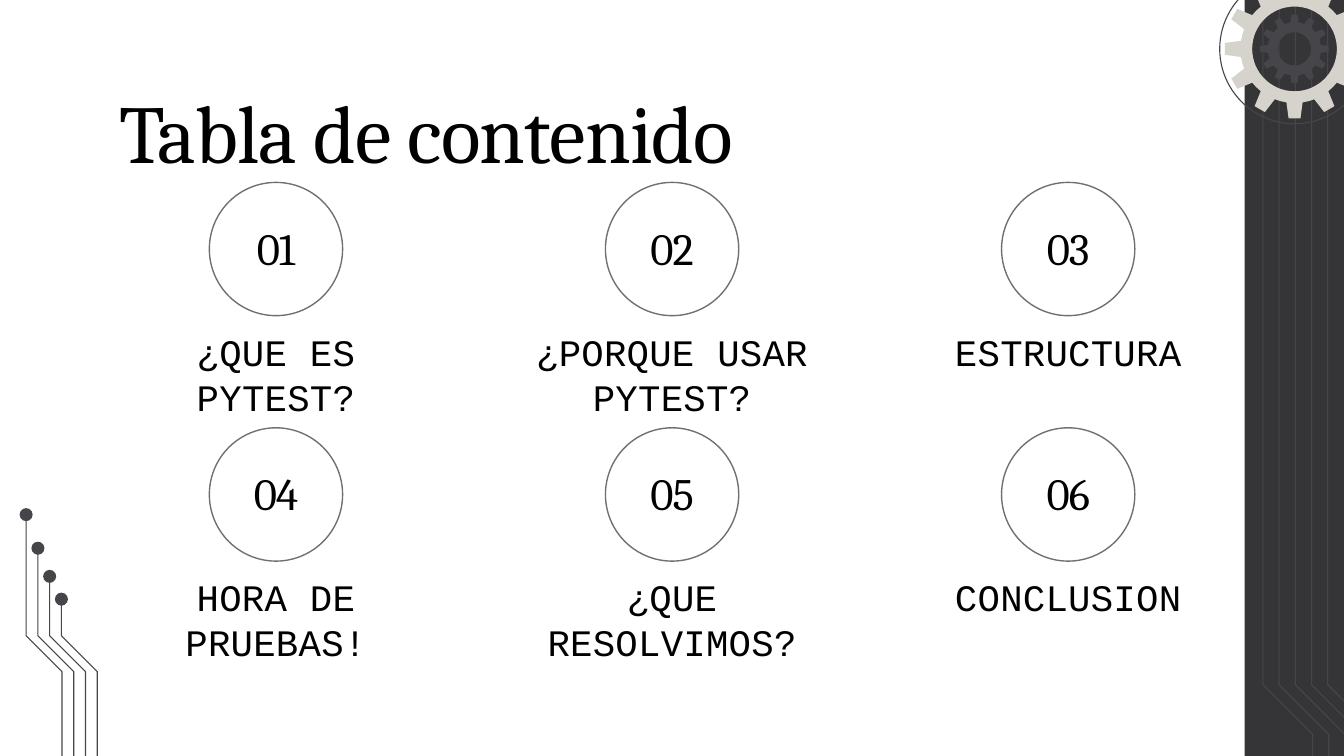
import math
from dataclasses import dataclass

import pptx
import pptx.dml.color
import pptx.enum.shapes
import pptx.enum.text
import pptx.util

Pt = pptx.util.Pt
OVAL = pptx.enum.shapes.MSO_SHAPE.OVAL
RECTANGLE = pptx.enum.shapes.MSO_SHAPE.RECTANGLE
ALIGN = pptx.enum.text.PP_ALIGN
ANCHOR = pptx.enum.text.MSO_ANCHOR


@dataclass(frozen=True)
class TextStyle:
    font: str
    size: float
    spacing: float  # between characters, in points
    leading: float


@dataclass(frozen=True)
class Theme:
    panel: str = "353537"
    circuit: str = "46464A"
    gear: str = "D6D3CC"
    circle: str = "6F6F74"
    text: str = "000000"
    hairline: float = 0.6
    circle_line: float = 0.75
    inset: float = 7.2
    title: TextStyle = TextStyle("Cambria", 44, -0.5, 0.9)
    number: TextStyle = TextStyle("Cambria", 24, -0.5, 0.9)
    topic: TextStyle = TextStyle("Courier New", 20, 0.1, 1.0)


THEME = Theme()
SLIDE_W, SLIDE_H = 720, 405
TOPICS = [
    "¿QUE ES PYTEST?", "¿PORQUE USAR PYTEST?", "ESTRUCTURA",
    "HORA DE PRUEBAS!", "¿QUE RESOLVIMOS?", "CONCLUSION",
]


def paint(shape, fill=None, line=None, width=0.0):
    shape.shadow.inherit = False
    if fill:
        shape.fill.solid()
        shape.fill.fore_color.rgb = pptx.dml.color.RGBColor.from_string(fill)
    else:
        shape.fill.background()
    if line:
        shape.line.color.rgb = pptx.dml.color.RGBColor.from_string(line)
        shape.line.width = Pt(width)
    else:
        shape.line.fill.background()


def add_preset(slide, preset, box, **colours):
    shape = slide.shapes.add_shape(preset, *map(Pt, box))
    paint(shape, **colours)


def add_disc(slide, center, radius, **colours):
    x, y = center
    add_preset(slide, OVAL, (x - radius, y - radius, 2 * radius, 2 * radius), **colours)


def add_outline(slide, contours, closed, **colours):
    contours = [[(Pt(x), Pt(y)) for x, y in contour] for contour in contours]
    builder = slide.shapes.build_freeform(*contours[0][0])
    for index, contour in enumerate(contours):
        if index:
            builder.move_to(*contour[0])
        builder.add_line_segments(contour[1:], close=closed)
    paint(builder.convert_to_shape(), **colours)


def add_text(slide, box, text, style, align=ALIGN.LEFT, anchor=ANCHOR.TOP):
    frame = slide.shapes.add_textbox(*map(Pt, box)).text_frame
    frame.word_wrap = True
    frame.vertical_anchor = anchor
    frame.margin_left = frame.margin_right = Pt(THEME.inset)
    frame.margin_top = frame.margin_bottom = Pt(THEME.inset)
    frame.text = text
    paragraph = frame.paragraphs[0]
    paragraph.alignment = align
    paragraph.line_spacing = style.leading
    run = paragraph.runs[0]
    run.font.name = style.font
    run.font.size = Pt(style.size)
    run.font.color.rgb = pptx.dml.color.RGBColor.from_string(THEME.text)
    run._r.get_or_add_rPr().set("spc", str(round(style.spacing * 100)))


def add_trace(slide, x, top, elbow, jog, bottom, right=SLIDE_W):
    """A circuit line: down, diagonally right by jog, down again."""
    reach = min(jog, right - x)
    points = [(x, top), (x, elbow), (x + reach, elbow + reach)]
    if reach == jog:
        points.append((x + jog, bottom))
    add_outline(slide, [points], False, line=THEME.circuit, width=THEME.hairline)


def add_side_panel(slide, box):
    left, top, width, height = box
    add_preset(slide, RECTANGLE, box, fill=THEME.panel)
    for index in range(5):
        add_trace(slide, left + 9.8 + 8.67 * index, top, top + 366.8, 26.6, top + height)


def add_corner_circuit(slide, box):
    left, top, width, height = box
    starts = [(left + 3.5 + 6.3 * index, top + drop)
              for index, drop in enumerate((3.5, 21.5, 36.6, 48.8))]
    for x, y in starts:
        add_trace(slide, x, y, top + 68.4, 19.2, top + height)
    for start in starts:
        add_disc(slide, start, 3.5, fill=THEME.circuit)


def add_gear(slide, center, radius, hole, fill):
    def polar(distance, angle):
        return (center[0] + distance * math.cos(angle),
                center[1] + distance * math.sin(angle))

    teeth, root = 12, 0.775 * radius
    step = 2 * math.pi / teeth
    rim = []
    for tooth in range(teeth):
        middle = tooth * step
        # Base and tip corners of the tooth, then the middle of the valley
        for distance, offset in ((root, -0.15), (radius, -0.085), (radius, 0.085),
                                 (root, 0.15), (root, step / 2)):
            rim.append(polar(distance, middle + offset))
    bore = [polar(hole, 2 * math.pi * n / 60) for n in range(60)]
    add_outline(slide, [rim, bore], True, fill=fill)


def add_gears(slide, box):
    left, top, width, height = box
    center = (left + width / 2, top + height / 2)
    add_gear(slide, center, 18.4, 8.9, THEME.circuit)
    add_gear(slide, center, 37.4, 22.7, THEME.gear)
    add_disc(slide, center, width / 2, line=THEME.circuit, width=THEME.hairline)


def add_topic(slide, box, number, topic):
    left, top, width, height = box
    diameter = 71.4
    circle_left = left + (width - diameter) / 2
    add_preset(slide, OVAL, (circle_left, top, diameter, diameter),
               line=THEME.circle, width=THEME.circle_line)
    add_text(slide, (circle_left, top + 15.1, diameter, 41.8), f"{number:02d}",
             THEME.number, ALIGN.CENTER, ANCHOR.BOTTOM)
    add_text(slide, (left, top + diameter, width, height - diameter), topic,
             THEME.topic, ALIGN.CENTER)


def add_topic_grid(slide, box, topics, columns=3, cell_width=182.9):
    left, top, width, height = box
    rows = math.ceil(len(topics) / columns)
    column_step = (width - cell_width) / (columns - 1)
    row_step = height / rows
    for index, topic in enumerate(topics):
        row, column = divmod(index, columns)
        cell = (left + column * column_step, top + row * row_step, cell_width, row_step)
        add_topic(slide, cell, index + 1, topic)


def main():
    presentation = pptx.Presentation()
    presentation.slide_width, presentation.slide_height = Pt(SLIDE_W), Pt(SLIDE_H)
    slide = presentation.slides.add_slide(presentation.slide_layouts[6])

    # Decoration
    add_side_panel(slide, (666.8, 0, SLIDE_W - 666.8, SLIDE_H))
    add_corner_circuit(slide, (10.5, 272.2, 42, SLIDE_H - 272.2))
    add_gears(slide, (653.4, -13.9, 80.2, 80.2))

    # Contents
    add_text(slide, (56.9, 42.5, 607, 45.4), "Tabla de contenido", THEME.title)
    add_topic_grid(slide, (56.4, 97.7, 607.3, 263), TOPICS)

    presentation.save("out.pptx")


if __name__ == "__main__":
    main()
